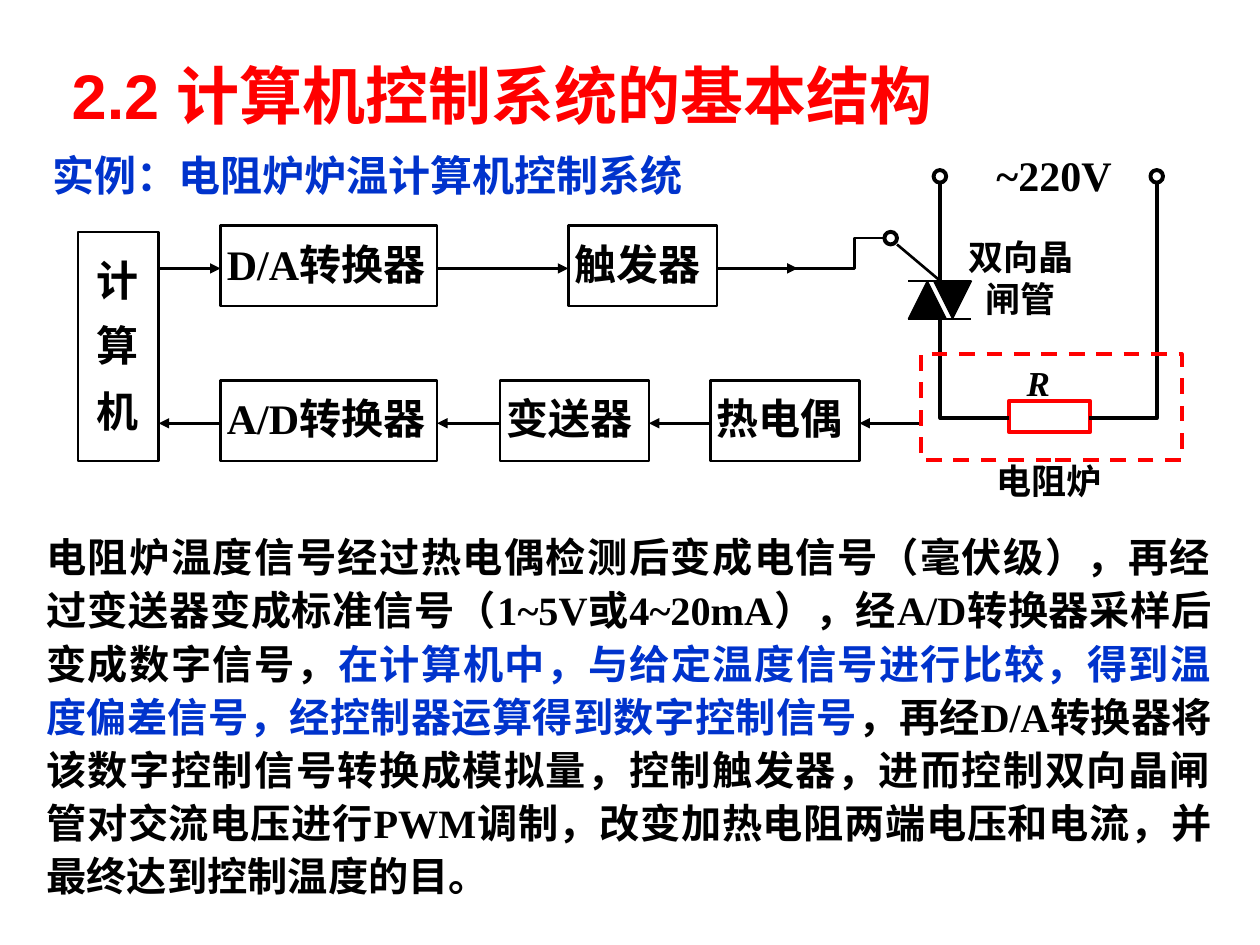
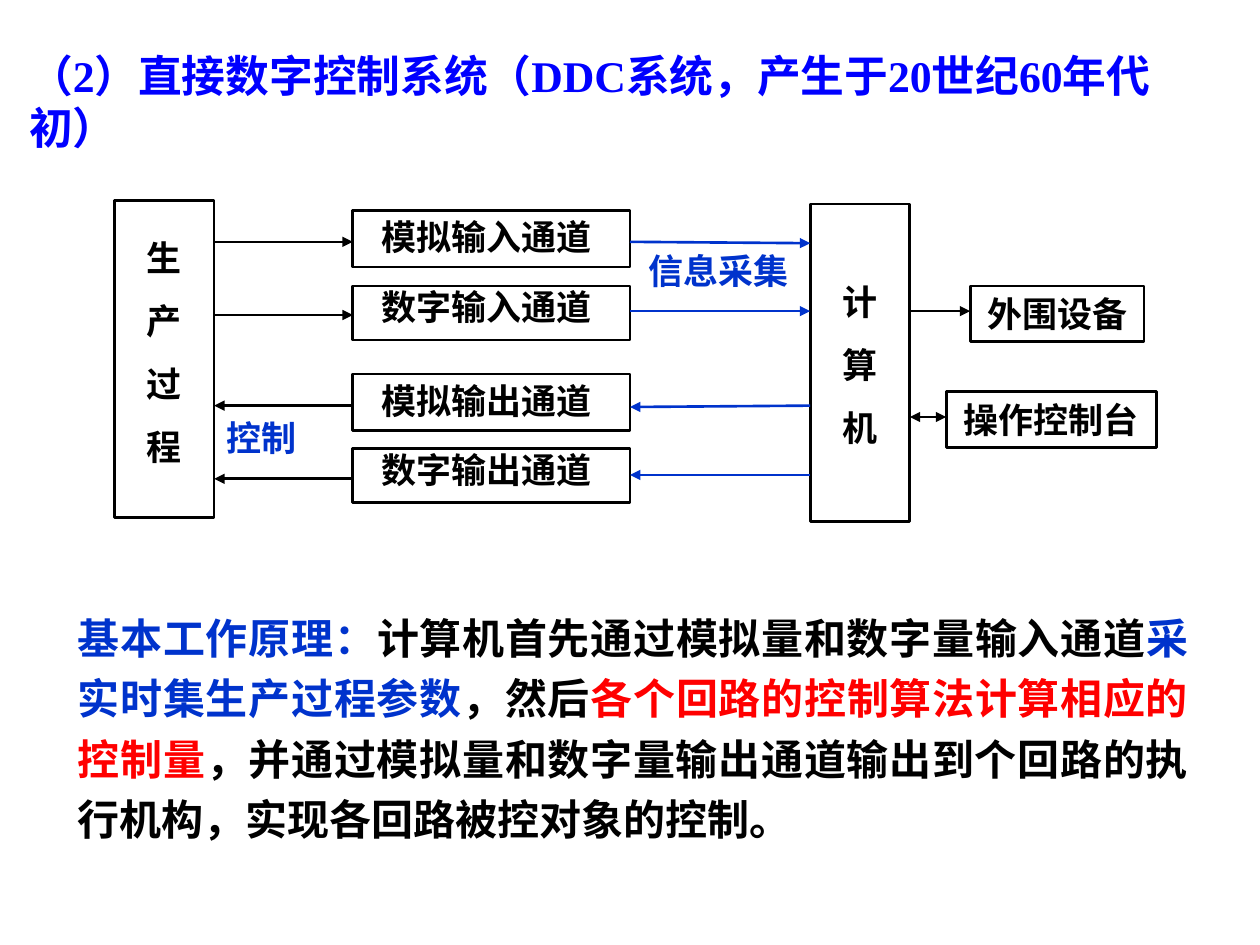
from lxml import etree
from pptx import Presentation
from pptx.dml.color import RGBColor
from pptx.enum.dml import MSO_LINE
from pptx.enum.shapes import MSO_CONNECTOR, MSO_SHAPE
from pptx.enum.text import MSO_ANCHOR, MSO_AUTO_SIZE, PP_ALIGN
from pptx.oxml.ns import qn
from pptx.util import Pt

RED = RGBColor(0xFF, 0x00, 0x00)
BLUE = RGBColor(0x00, 0x33, 0xCC)
TITLE_BLUE = RGBColor(0x00, 0x00, 0xFF)
BLACK = RGBColor(0x00, 0x00, 0x00)
SERIF, SANS = "Times New Roman", "Arial"
LEFT, CENTER, JUSTIFY = PP_ALIGN.LEFT, PP_ALIGN.CENTER, PP_ALIGN.JUSTIFY
TOP, MIDDLE = MSO_ANCHOR.TOP, MSO_ANCHOR.MIDDLE
RECT, OVAL, TRIANGLE = MSO_SHAPE.RECTANGLE, MSO_SHAPE.OVAL, MSO_SHAPE.ISOSCELES_TRIANGLE
STRAIGHT, DASH = MSO_CONNECTOR.STRAIGHT, MSO_LINE.DASH
TITLE_ONLY = 5
THIN, THICK = 1.5, 2.25
INSETS = (7.2, 3.6, 7.2, 3.6)

# Slide 1: furnace example. Frames are (left, top, width, height) in points.
FURNACE_TITLE = "2.2 计算机控制系统的基本结构"
EXAMPLE = "实例：电阻炉炉温计算机控制系统"
FURNACE_TEXT = [
    ("电阻炉温度信号经过热电偶检测后变成电信号（毫伏级），再经过变送器变成标准信号"
     "（1~5V或4~20mA），经A/D转换器采样后变成数字信号，", BLACK),
    ("在计算机中，与给定温度信号进行比较，得到温度偏差信号，经控制器运算得到数字控制信号", BLUE),
    ("，再经D/A转换器将该数字控制信号转换成模拟量，控制触发器，进而控制双向晶闸管对交流电压"
     "进行PWM调制，改变加热电阻两端电压和电流，并最终达到控制温度的目。", BLACK),
]
OUTPUT_TOP, INPUT_TOP, UNIT_HEIGHT = 128.9, 217.4, 46.1
OUTPUT_Y, INPUT_Y = 153.4, 241.9
UNITS = [
    ("D/A转换器", 126, OUTPUT_TOP, 123.8),
    ("触发器", 324.7, OUTPUT_TOP, 85),
    ("A/D转换器", 126, INPUT_TOP, 123.8),
    ("变送器", 285.8, INPUT_TOP, 85),
    ("热电偶", 406.1, INPUT_TOP, 85),
]
OUTPUT_CHAIN = ["计算机", "D/A转换器", "触发器"]
INPUT_CHAIN = ["电阻炉", "热电偶", "变送器", "A/D转换器", "计算机"]
COMPUTER = (44.6, 132.5, 46.1, 131)
FURNACE = (526.3, 202.3, 149, 60.5)
RESISTOR = (576.7, 229, 46.1, 18)
THYRISTOR_LEFT, THYRISTOR_TOP, THYRISTOR_BOTTOM, THYRISTOR_RIGHT = 519.1, 160.6, 182.2, 555.1
TRIANGLE_SIZE, TERMINAL_SIZE = 21.6, 7.2
MAINS_X, RETURN_X, TERMINAL_Y, RESISTOR_Y = 537.4, 661, 103.7, 239
TERMINALS = [(505.4, 132.5), (533.5, 97.2), (657.4, 97.2)]
WIRES = [
    ([(MAINS_X, THYRISTOR_BOTTOM), (MAINS_X, RESISTOR_Y), (576.7, RESISTOR_Y)], THICK),
    ([(RETURN_X, TERMINAL_Y), (RETURN_X, RESISTOR_Y), (622.1, RESISTOR_Y)], THICK),
    ([(448.6, OUTPUT_Y), (488.2, OUTPUT_Y), (488.2, 136.1), (505.4, 136.1)], THIN),
]
THYRISTOR_LINES = [
    ((THYRISTOR_LEFT, THYRISTOR_BOTTOM), (THYRISTOR_RIGHT, THYRISTOR_BOTTOM), THIN),
    ((THYRISTOR_LEFT, THYRISTOR_TOP), (THYRISTOR_RIGHT, THYRISTOR_TOP), THIN),
    ((MAINS_X, THYRISTOR_TOP), (MAINS_X, TERMINAL_Y), THICK),
    ((MAINS_X, THYRISTOR_TOP), (512.6, 139.7), THIN),
]
CIRCUIT_LABELS = [
    ("~220V", (562.3, 82.1, 85, 36), 24, LEFT, False),
    ("双向晶闸管", (537.1, 131, 92.2, 55.4), 20, CENTER, False),
    ("电阻炉", (562.3, 259.2, 88.6, 31.7), 20, LEFT, False),
    ("R", (579.6, 203, 67.7, 31.7), 20, LEFT, True),
]

# Slide 2: direct digital control
DDC_TITLE = "（2）直接数字控制系统（DDC系统，产生于20世纪60年代初）"
DDC_TEXT = [
    ("基本工作原理：", BLUE),
    ("计算机首先通过模拟量和数字量输入通道", BLACK),
    ("采实时集生产过程参数", BLUE),
    ("，然后", BLACK),
    ("各个回路的控制算法计算相应的控制量", RED),
    ("，并通过模拟量和数字量输出通道输出到个回路的执行机构，实现各回路被控对象的控制。", BLACK),
]
PROCESS_LEFT, CHANNEL_LEFT, DDC_COMPUTER_LEFT = 65.5, 201.6, 463
COLUMN_WIDTH, COLUMN_HEIGHT, CHANNEL_WIDTH = 56.9, 181.4, 158.4
COLUMNS = [  # text, left, top, space above the text
    ("生产过程", PROCESS_LEFT, 114.5, 8.6),
    ("计\n算\n机", DDC_COMPUTER_LEFT, 116.6, 31.7),
]
CHANNELS = [  # text, top, height, inset, process y, channel y, computer y, is input
    ("模拟输入通道", 120.2, 32.4, 2.9, 138.2, 138.2, 139, True),
    ("数字输入通道", 163.4, 31, 0, 180, 177.8, 177.8, True),
    ("模拟输出通道", 213.8, 32.4, 2.9, 231.8, 232.6, 231.8, False),
    ("数字输出通道", 256.3, 31, 0, 273.6, 271.4, 271.4, False),
]
DEVICES = [  # text, frame, arrow y, two-way
    ("外围设备", (554.4, 163.4, 99.4, 31.7), 177.8, False),
    ("操作控制台", (540.7, 223.9, 120.2, 31.7), 238.3, True),
]
FLOW_LABELS = [
    ("信息采集", (363.6, 139, 106.6, 31.7)),
    ("控制", (122.4, 234.7, 67.7, 31.7)),
]


def points(values):
    return [Pt(value) for value in values]


def write(holder, runs, size, align=LEFT, anchor=TOP, insets=INSETS, spacing=1.0,
          font=SERIF, italic=False):
    """Fill a shape with (text, colour) runs; a newline starts a paragraph."""
    frame = holder.text_frame
    frame.word_wrap = True
    frame.auto_size = MSO_AUTO_SIZE.NONE
    frame.vertical_anchor = anchor
    (frame.margin_left, frame.margin_top,
     frame.margin_right, frame.margin_bottom) = points(insets)
    frame.text = runs[0][0]
    for text, _ in runs[1:]:
        frame.paragraphs[-1].add_run().text = text
    for paragraph in frame.paragraphs:
        paragraph.alignment = align
        paragraph.line_spacing = spacing
    written = [run for paragraph in frame.paragraphs for run in paragraph.runs]
    for i, run in enumerate(written):
        run.font.name, run.font.size = font, Pt(size)
        run.font.bold, run.font.italic = True, italic
        run.font.color.rgb = runs[min(i, len(runs) - 1)][1]


def add_title(slide, text, frame, size, color, font=SERIF, anchor=MIDDLE):
    title = slide.shapes.title
    title.left, title.top, title.width, title.height = points(frame)
    write(title, [(text, color)], size, anchor=anchor, font=font)


def add_text(slide, runs, frame, size, **style):
    write(slide.shapes.add_textbox(*points(frame)), runs, size, **style)


def add_outline(slide, kind, frame, color=BLACK, width=THIN, fill=None):
    shape = slide.shapes.add_shape(kind, *points(frame))
    shape.shadow.inherit = False
    if fill is None:
        shape.fill.background()
    else:
        shape.fill.solid()
        shape.fill.fore_color.rgb = fill
    shape.line.color.rgb, shape.line.width = color, Pt(width)
    return shape


def add_block(slide, text, frame, size, **style):
    write(add_outline(slide, RECT, frame), [(text, BLACK)], size, **style)


def add_line(slide, start, end, width=THIN, color=BLACK, arrows=()):
    """Draw a line; arrows may hold "headEnd" (at start) and "tailEnd" (at end)."""
    line = slide.shapes.add_connector(STRAIGHT, *points(start + end))
    line.line.color.rgb, line.line.width = color, Pt(width)
    for arrow in arrows:
        etree.SubElement(line.line._get_or_add_ln(), qn(f"a:{arrow}"), type="triangle")
    etree.SubElement(line._element.spPr, qn("a:effectLst"))


def add_arrow(slide, start, end, color=BLACK, two_way=False):
    arrows = ("headEnd", "tailEnd") if two_way else ("tailEnd",)
    add_line(slide, start, end, color=color, arrows=arrows)


def add_wire(slide, corners, width):
    builder = slide.shapes.build_freeform(*points(corners[0]), scale=1.0)
    builder.add_line_segments([points(corner) for corner in corners[1:]], close=False)
    wire = builder.convert_to_shape()
    wire.shadow.inherit = False
    wire.fill.background()
    wire.line.color.rgb, wire.line.width = BLACK, Pt(width)


def link_chain(slide, chain, frames, y):
    """Join neighbouring blocks of a chain by arrows between their facing sides."""
    for source, target in zip(chain, chain[1:]):
        (left, _, width, _), (next_left, _, next_width, _) = frames[source], frames[target]
        if left < next_left:
            add_arrow(slide, (left + width, y), (next_left, y))
        else:
            add_arrow(slide, (left, y), (next_left + next_width, y))


def draw_circuit(slide):
    add_outline(slide, RECT, RESISTOR, RED, THICK)
    for corners, width in WIRES:
        add_wire(slide, corners, width)
    for left, rotation in ((THYRISTOR_LEFT, 0), (THYRISTOR_RIGHT - TRIANGLE_SIZE, 180)):
        frame = (left, THYRISTOR_TOP, TRIANGLE_SIZE, TRIANGLE_SIZE)
        add_outline(slide, TRIANGLE, frame, width=0.75, fill=BLACK).rotation = rotation
    for start, end, width in THYRISTOR_LINES:
        add_line(slide, start, end, width)
    for corner in TERMINALS:
        add_outline(slide, OVAL, corner + (TERMINAL_SIZE, TERMINAL_SIZE), width=THICK)
    add_outline(slide, RECT, FURNACE, RED, THICK).line.dash_style = DASH
    for text, frame, size, align, italic in CIRCUIT_LABELS:
        add_text(slide, [(text, BLACK)], frame, size, align=align, italic=italic)


def build_furnace_slide(slide):
    add_title(slide, FURNACE_TITLE, (33.8, 28.8, 601.2, 50.4), 36, RED, SANS, TOP)
    add_text(slide, [(EXAMPLE, BLUE)], (23, 82.1, 391, 36), 24, anchor=MIDDLE)
    add_text(slide, FURNACE_TEXT, (19.4, 298.1, 680.4, 219.6), 23, align=JUSTIFY, spacing=1.1)
    add_block(slide, "计算机", COMPUTER, 24, insets=(10.8, 4.3, 7.2, 0), spacing=1.3)
    frames = {"计算机": COMPUTER, "电阻炉": FURNACE}
    for text, left, top, width in UNITS:
        frames[text] = (left, top, width, UNIT_HEIGHT)
        add_block(slide, text, frames[text], 24, insets=(3.6, 7.2, 0, 0))
    link_chain(slide, OUTPUT_CHAIN, frames, OUTPUT_Y)
    link_chain(slide, INPUT_CHAIN, frames, INPUT_Y)
    add_arrow(slide, (409.7, OUTPUT_Y), (455.8, OUTPUT_Y))
    draw_circuit(slide)


def build_ddc_slide(slide):
    add_title(slide, DDC_TITLE, (9.4, 23.8, 700.6, 67.7), 25, TITLE_BLUE)
    for text, left, top, inset in COLUMNS:
        add_block(slide, text, (left, top, COLUMN_WIDTH, COLUMN_HEIGHT), 20,
                  insets=(18.4, inset, 7.2, 0), spacing=1.5)
    process_right = PROCESS_LEFT + COLUMN_WIDTH
    channel_right = CHANNEL_LEFT + CHANNEL_WIDTH
    for text, top, height, inset, process_y, channel_y, computer_y, is_input in CHANNELS:
        add_block(slide, text, (CHANNEL_LEFT, top, CHANNEL_WIDTH, height), 20,
                  align=CENTER, insets=(0, inset, 5.8, 0))
        field = [(process_right, process_y), (CHANNEL_LEFT, process_y)]
        data = [(channel_right, channel_y), (DDC_COMPUTER_LEFT, computer_y)]
        for ends, color in ((field, BLACK), (data, BLUE)):
            add_arrow(slide, *(ends if is_input else ends[::-1]), color=color)
    for text, frame, y, two_way in DEVICES:
        add_block(slide, text, frame, 20, align=CENTER)
        add_arrow(slide, (DDC_COMPUTER_LEFT + COLUMN_WIDTH, y), (frame[0], y), two_way=two_way)
    for text, frame in FLOW_LABELS:
        add_text(slide, [(text, BLUE)], frame, 20)
    add_text(slide, DDC_TEXT, (37.4, 340.6, 648.7, 145.4), 24, align=JUSTIFY, spacing=1.2)


def main():
    deck = Presentation()
    deck.slide_width, deck.slide_height = Pt(720), Pt(540)
    for build in (build_furnace_slide, build_ddc_slide):
        build(deck.slides.add_slide(deck.slide_layouts[TITLE_ONLY]))
    deck.save("out.pptx")


if __name__ == "__main__":
    main()
